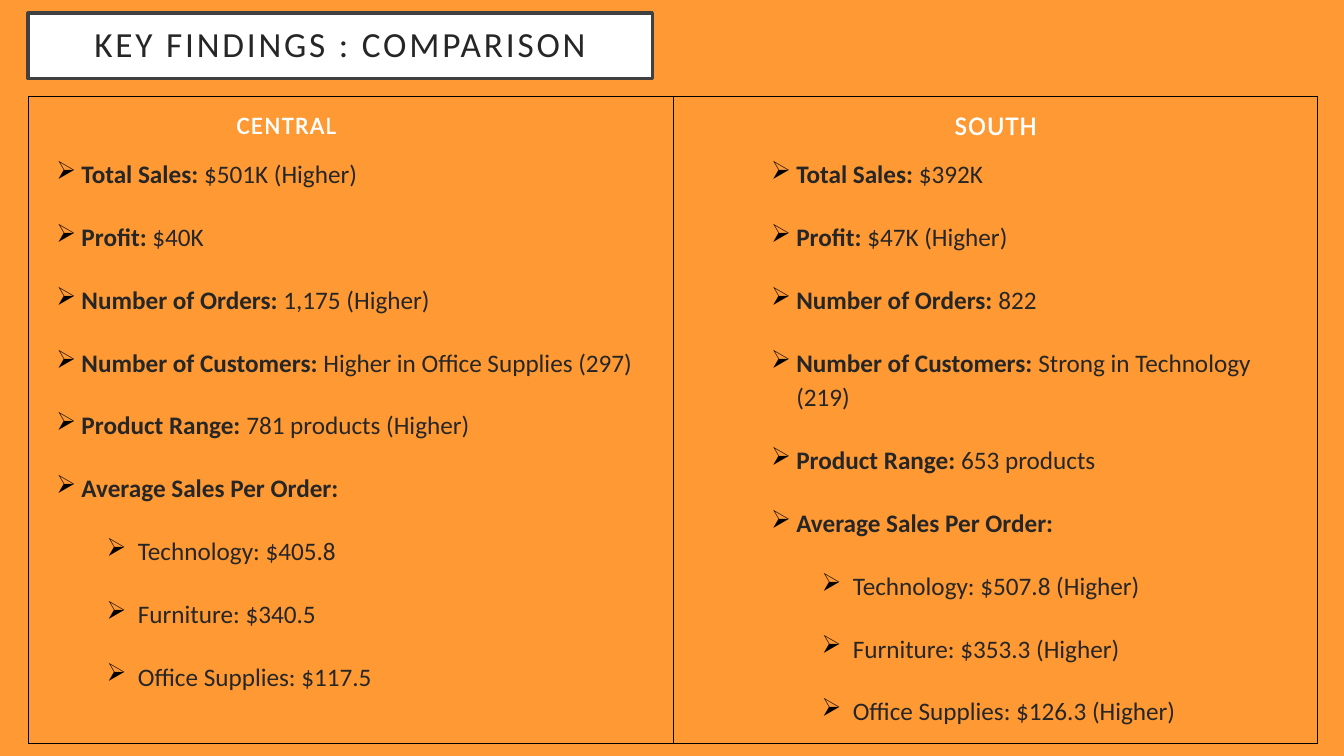
import pptx
import pptx.util
import pptx.dml.color
import pptx.enum.shapes
import pptx.enum.text
import pptx.oxml
import pptx.oxml.ns
from lxml import etree

Inches, Pt = pptx.util.Inches, pptx.util.Pt
ALIGN = pptx.enum.text.PP_ALIGN
ANCHOR = pptx.enum.text.MSO_ANCHOR
COLORS = {"page": "F2F2F2", "back": "FF9933", "white": "FFFFFF",
          "ink": "262626", "edge": "404040", "black": "000000"}

CENTRAL = [("Total Sales:", " $501K (Higher)"), ("Profit:", " $40K"),
           ("Number of Orders:", " 1,175 (Higher)"),
           ("Number of Customers:", " Higher in Office Supplies (297)"),
           ("Product Range:", " 781 products (Higher)"),
           ("Average Sales Per Order:", ""),
           ("", "Technology: $405.8"), ("", "Furniture: $340.5"),
           ("", "Office Supplies: $117.5")]
SOUTH = [("Total Sales:", " $392K"), ("Profit:", " $47K (Higher)"),
         ("Number of Orders:", " 822"),
         ("Number of Customers:", " Strong in Technology (219)"),
         ("Product Range:", " 653 products"),
         ("Average Sales Per Order:", ""),
         ("", "Technology: $507.8 (Higher)"),
         ("", "Furniture: $353.3 (Higher)"),
         ("", "Office Supplies: $126.3 (Higher)")]


def rgb(name):
    """Return the named colour."""
    return pptx.dml.color.RGBColor.from_string(COLORS[name])


def child(parent, tag, **attrs):
    """Append a drawing element to a parent."""
    node = etree.SubElement(parent, pptx.oxml.ns.qn("a:" + tag))
    for key, value in attrs.items():
        node.set(key, str(value))
    return node


def write(para, text, size=18, color="ink", bold=False, track=0, glow=False):
    """Add a formatted run to a paragraph."""
    run = para.add_run()
    run.text = text
    font = run.font
    font.name, font.size, font.bold = "Calibri", Pt(size), bold
    font.color.rgb = rgb(color)
    props = run._r.get_or_add_rPr()
    if track:
        props.set("spc", str(track * 100))
    if glow:
        line = child(props, "ln", w=Pt(0.75))
        child(child(line, "solidFill"), "srgbClr", val=COLORS[color])
        props.insert(0, line)


def bullet(para, sub):
    """Give a paragraph its arrow bullet, indent and tab stop."""
    props = para._p.get_or_add_pPr()
    left, hang, stop = (0.81, 0.31, 1) if sub else (0.25, 0.25, 0.5)
    props.set("marL", str(Inches(left)))
    props.set("indent", str(-Inches(hang)))
    child(child(props, "buClr"), "srgbClr", val=COLORS["black"])
    child(props, "buChar", char="➢")
    child(child(props, "tabLst"), "tab", pos=Inches(stop), algn="l")
    para.level = int(sub)


def frame(slide, box, anchor):
    """Add a wrapping text box and return its text frame."""
    text = slide.shapes.add_textbox(*map(Inches, box)).text_frame
    text.word_wrap = True
    text.vertical_anchor = anchor
    return text


def back(slide, box):
    """Lay the orange panel behind everything."""
    fill = slide.background.fill
    fill.solid()
    fill.fore_color.rgb = rgb("page")
    panel = slide.shapes.add_shape(
        pptx.enum.shapes.MSO_SHAPE.RECTANGLE, *map(Inches, box))
    panel.shadow.inherit = False
    panel.fill.solid()
    panel.fill.fore_color.rgb = rgb("back")
    panel.line.fill.background()
    slide.shapes._spTree.insert(2, panel._element)


def title(slide, box, text):
    """Place and format the title placeholder."""
    shape = slide.shapes.title
    shape.left, shape.top, shape.width, shape.height = map(Inches, box)
    shape.fill.solid()
    shape.fill.fore_color.rgb = rgb("white")
    shape.line.color.rgb = rgb("edge")
    shape.line.width = Pt(2.5)
    body = shape.text_frame
    body.auto_size = pptx.enum.text.MSO_AUTO_SIZE.NONE
    body.word_wrap = True
    body.vertical_anchor = ANCHOR.MIDDLE
    body.margin_left = body.margin_right = Inches(0.2)
    body.margin_top = body.margin_bottom = Inches(0.2)
    para = body.paragraphs[0]
    para.alignment = ALIGN.CENTER
    para.line_spacing = 0.9
    write(para, text, size=25.2, track=2)


def heading(slide, box, text, size, space):
    """Write a region name centred at the foot of its box."""
    para = frame(slide, box, ANCHOR.BOTTOM).paragraphs[0]
    para.alignment = ALIGN.CENTER
    para.line_spacing = space
    write(para, text, size=size, color="white", track=1, glow=True)


def facts(slide, box, rows):
    """List a region's findings as bullets."""
    body = frame(slide, box, ANCHOR.TOP)
    for i, (label, value) in enumerate(rows):
        para = body.add_paragraph() if i else body.paragraphs[0]
        bullet(para, not label)
        para.line_spacing = 1.15
        para.space_before = Pt(10 if i else 0)
        para.space_after = Pt(10)
        if label:
            write(para, label, bold=True)
        if value:
            write(para, value)


def grid(slide, box):
    """Rule a box into two columns."""
    left, top, width, height = box
    right, base = left + width, top + height
    mid = left + width / 2
    ends = [(x, top, x, base) for x in (left, mid, right)]
    ends += [(left, y, right, y) for y in (top, base)]
    for points in ends:
        rule = slide.shapes.add_connector(
            pptx.enum.shapes.MSO_CONNECTOR.STRAIGHT, *map(Inches, points))
        rule.line.color.rgb = rgb("black")
        rule.line.width = Pt(0.5)
        child(rule._element.spPr, "effectLst")


def main():
    """Build and save the comparison slide."""
    deck = pptx.Presentation()
    deck.slide_width, deck.slide_height = Inches(13.33), Inches(7.5)
    slide = deck.slides.add_slide(deck.slide_layouts[5])
    back(slide, (0, 0, 13.33, 7.5))
    title(slide, (0.28, 0.13, 6.19, 0.65), "KEY FINDINGS : COMPARISON")
    heading(slide, (1.82, 1.05, 2.04, 0.38), "CENTRAL", 17.6, 0.9)
    facts(slide, (0.46, 1.48, 6.01, 4.53), CENTRAL)
    heading(slide, (9.26, 0.96, 1.23, 0.48), "SOUTH", 19, 1)
    facts(slide, (7.55, 1.48, 5.53, 5.89), SOUTH)
    grid(slide, (0.28, 0.96, 12.79, 6.41))
    deck.save("out.pptx")


if __name__ == "__main__":
    main()
